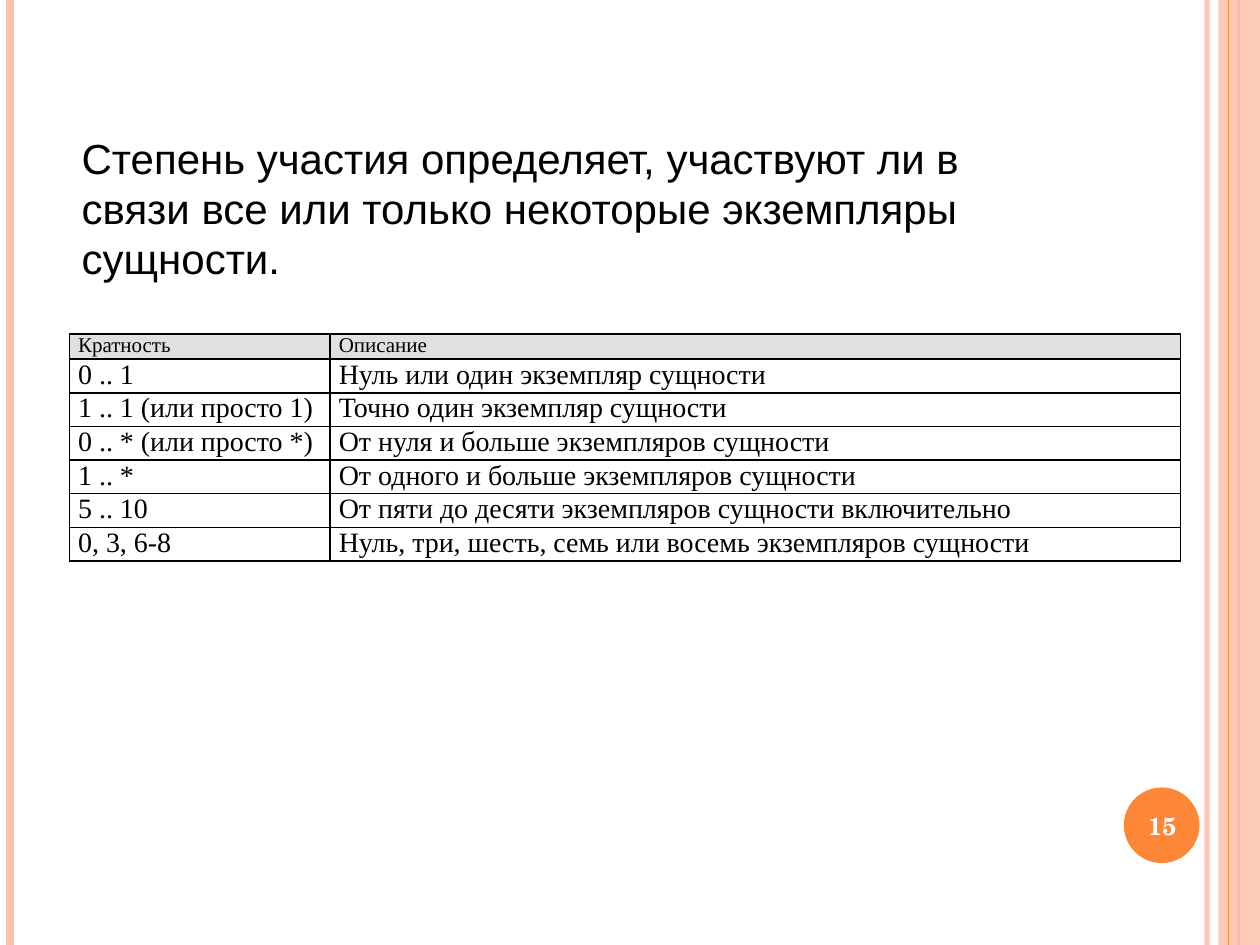
"""Build a slide on the degree of participation of entity instances in a relationship."""
from lxml.etree import SubElement
from pptx import Presentation
from pptx.dml.color import RGBColor
from pptx.enum.shapes import MSO_CONNECTOR as Connector, MSO_SHAPE as Shape
from pptx.enum.text import MSO_ANCHOR as Anchor, PP_ALIGN as Align
from pptx.oxml.ns import qn
from pptx.util import Inches, Pt

COLORS = {"peach": "FEC3AE", "orange": "FE8637", "header": "E0E0E0",
          "black": "000000", "white": "FFFFFF"}
STATEMENT = "Степень участия определяет, участвуют ли в связи все или только некоторые экземпляры сущности."
PAGE_NUMBER = "15"
ROWS = [
    ("Кратность", "Описание"),
    ("0 .. 1", "Нуль или один экземпляр сущности"),
    ("1 .. 1 (или просто 1)", "Точно один экземпляр сущности"),
    ("0 .. * (или просто *)", "От нуля и больше экземпляров сущности"),
    ("1 .. *", "От одного и больше экземпляров сущности"),
    ("5 .. 10", "От пяти до десяти экземпляров сущности включительно"),
    ("0, 3, 6-8", "Нуль, три, шесть, семь или восемь экземпляров сущности"),
]
COLUMN_WIDTHS = (2.07, 6.75)
HEADER_HEIGHT, ROW_HEIGHT = 0.19, 0.24
STRIPES_BEHIND = [(9.58, "peach", 3, 93), (0.08, "peach", 4.5, 100), (9.83, "orange", 1.5, 100)]
STRIPES_FRONT = [(9.75, "orange", 0.75, 100)]
PAGE_WIDTH, PAGE_HEIGHT = 10, 7.5


def rgb(name):
    return RGBColor.from_string(COLORS[name])


def set_opacity(fill_parent, percent):
    color = next(fill_parent.iter(qn("a:srgbClr")))
    SubElement(color, qn("a:alpha"), val=str(percent * 1000))


def add_stripe(page, x, color, width, opacity):
    stripe = page.shapes.add_connector(Connector.STRAIGHT, Inches(x), 0, Inches(x), Inches(PAGE_HEIGHT))
    stripe.line.color.rgb = rgb(color)
    stripe.line.width = Pt(width)
    properties = stripe._element.spPr
    if opacity < 100:
        set_opacity(properties, opacity)
    SubElement(properties, qn("a:effectLst"))


def add_filled(page, kind, place, color):
    shape = page.shapes.add_shape(kind, *map(Inches, place))
    shape.shadow.inherit = False
    shape.fill.solid()
    shape.fill.fore_color.rgb = rgb(color)
    shape.line.fill.background()
    return shape


def write(frame, text, size, font, color, align=Align.LEFT, bold=False):
    para = frame.paragraphs[0]
    para.alignment = align
    span = para.add_run()
    span.text = text
    span.font.size = Pt(size)
    span.font.name = font
    span.font.bold = bold
    span.font.color.rgb = rgb(color)


def add_text(page, place, anchor, *style, **options):
    frame = page.shapes.add_textbox(*map(Inches, place)).text_frame
    frame.word_wrap = True
    frame.vertical_anchor = anchor
    write(frame, *style, **options)


def add_borders(cell):
    properties = cell._tc.get_or_add_tcPr()
    for index, side in enumerate(("lnL", "lnR", "lnT", "lnB")):
        border = properties.makeelement(qn(f"a:{side}"), {"w": str(Pt(1))})
        fill = SubElement(border, qn("a:solidFill"))
        SubElement(fill, qn("a:srgbClr"), val=COLORS["black"])
        properties.insert(index, border)


def add_multiplicity_table(page):
    heights = [HEADER_HEIGHT] + [ROW_HEIGHT] * (len(ROWS) - 1)
    table = page.shapes.add_table(len(ROWS), len(COLUMN_WIDTHS), Inches(0.55), Inches(2.65),
                                  Inches(sum(COLUMN_WIDTHS)), Inches(sum(heights))).table
    for column, width in zip(table.columns, COLUMN_WIDTHS):
        column.width = Inches(width)
    for r, (texts, height) in enumerate(zip(ROWS, heights)):
        table.rows[r].height = Inches(height)
        for c, text in enumerate(texts):
            cell = table.cell(r, c)
            cell.margin_left = cell.margin_right = Inches(0.07)
            cell.margin_top = cell.margin_bottom = 0
            if r == 0:
                cell.fill.solid()
                cell.fill.fore_color.rgb = rgb("header")
            else:
                cell.fill.background()
            add_borders(cell)
            write(cell.text_frame, text, 16 if r else 12, "Times New Roman", "black", Align.JUSTIFY)


def main():
    deck = Presentation()
    deck.slide_width, deck.slide_height = Inches(PAGE_WIDTH), Inches(PAGE_HEIGHT)
    page = deck.slides.add_slide(deck.slide_layouts[6])
    for stripe in STRIPES_BEHIND:
        add_stripe(page, *stripe)
    band = add_filled(page, Shape.RECTANGLE, (9.67, 0, 0.33, PAGE_HEIGHT), "peach")
    set_opacity(band._element.spPr, 87)
    for stripe in STRIPES_FRONT:
        add_stripe(page, *stripe)
    add_filled(page, Shape.OVAL, (8.92, 6.25, 0.6, 0.6), "orange")
    add_text(page, (8.89, 6.27, 0.67, 0.57), Anchor.MIDDLE, PAGE_NUMBER, 14,
             "TeX Gyre Schola", "white", align=Align.CENTER, bold=True)
    add_text(page, (0.55, 1, 8, 1.33), Anchor.TOP, STATEMENT, 24, "Arial", "black")
    add_multiplicity_table(page)
    deck.save("out.pptx")


if __name__ == "__main__":
    main()
